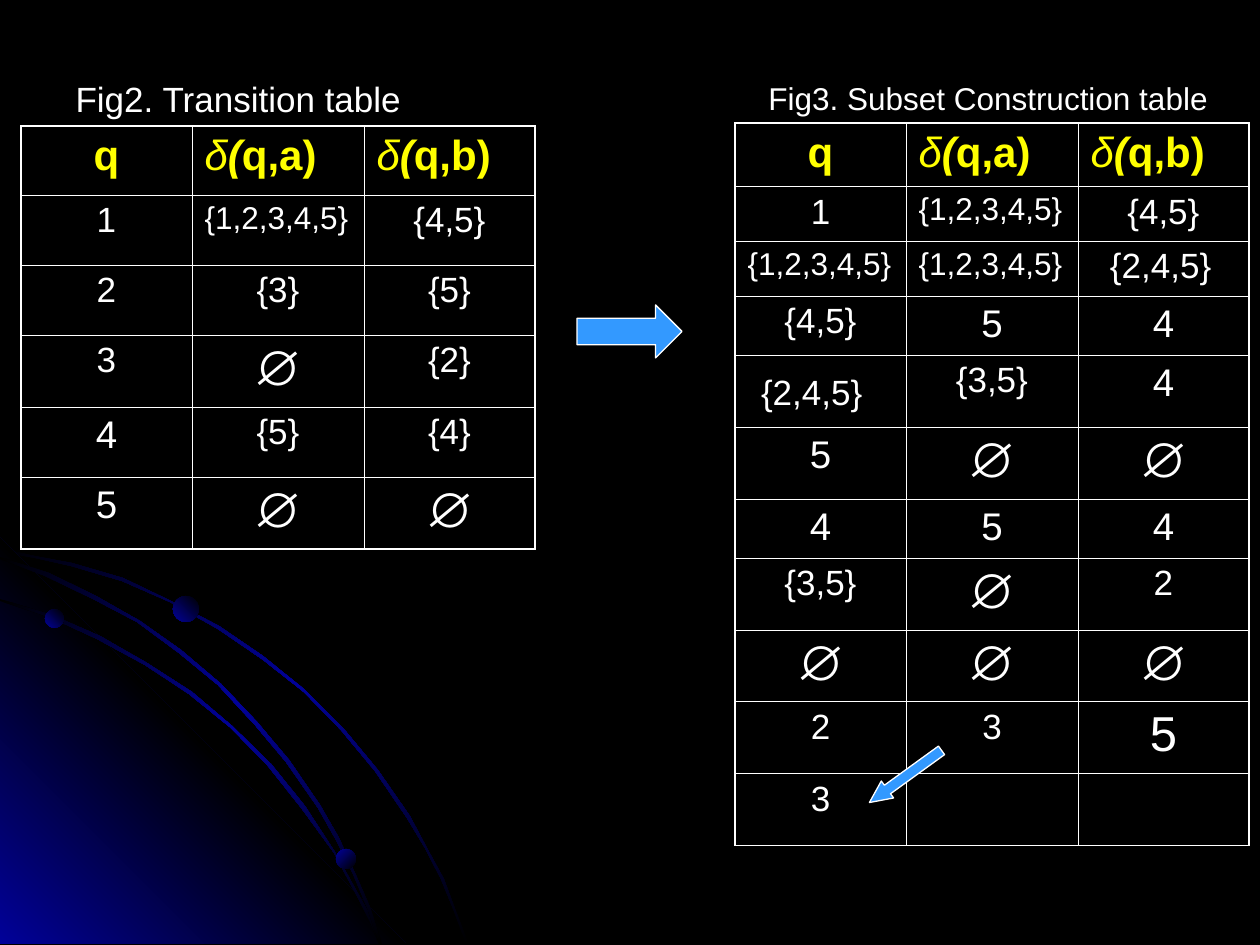
from pptx import Presentation
from pptx.dml.color import RGBColor
from pptx.enum.shapes import MSO_SHAPE as SHAPE
from pptx.enum.text import MSO_AUTO_SIZE as AUTO_SIZE, PP_ALIGN as ALIGN
from pptx.oxml import parse_xml
from pptx.oxml.ns import nsdecls, qn
from pptx.util import Inches, Pt

SCALE = Inches(1) / 126


class Theme:
    font = "Arial"
    black, white, yellow = "000000", "FFFFFF", "FFFF00"
    glow, arrow = "010199", "3399FF"
    heading, caption, small_caption = 24, 20, 18
    entry, digit, small_entry, large_entry = 20, 22, 18, 28
    thin, thick, outline = 0.45, 1.08, 0.75


def px(*values):
    return [round(value * SCALE) for value in values]


def fill_gradient(shape, colors, angle):
    """Spread the colours evenly over the shape, angle clockwise, with no outline."""
    shape.shadow.inherit = False
    shape.line.fill.background()
    stops = "".join(
        f'<a:gs pos="{100000 * i // (len(colors) - 1)}"><a:srgbClr val="{color}"/></a:gs>'
        for i, color in enumerate(colors))
    shape._element.spPr.insert(2, parse_xml(
        f'<a:gradFill {nsdecls("a")} rotWithShape="1"><a:gsLst>{stops}</a:gsLst>'
        f'<a:lin ang="{angle * 60000}" scaled="0"/></a:gradFill>'))


deck = Presentation()
deck.slide_width, deck.slide_height = px(1260, 945)
slide = deck.slides.add_slide(deck.slide_layouts[1])
shapes = slide.shapes
slide.background.fill.solid()
slide.background.fill.fore_color.rgb = RGBColor.from_string(Theme.black)
title = shapes.title._element
title.getparent().remove(title)

# Glowing corner, orbits and planets
ORBIT_COLORS = [Theme.black, Theme.glow, Theme.black]
CORNER_COLORS = [Theme.glow, Theme.black, Theme.glow]
outer_orbit = [
    (72, 563), (35, 556), (0, 548), (0, 552), (35, 558), (71, 566), (122, 581), (170, 602),
    (218, 629), (262, 659), (304, 692), (341, 730), (375, 771), (407, 818), (425, 848),
    (441, 879), (454, 911), (466, 944), (469, 944), (456, 911), (444, 879), (427, 848),
    (410, 816), (378, 770), (343, 728), (305, 690), (263, 656), (219, 626), (171, 601),
    (123, 578)]
corner = [(406, 944), (0, 944), (0, 538)]
inner_orbit = [
    (359, 900), (370, 922), (379, 944), (382, 944), (373, 920), (360, 897), (335, 852),
    (305, 806), (271, 764), (232, 726), (192, 692), (147, 663), (100, 636), (52, 615),
    (0, 599), (0, 601), (49, 617), (97, 639), (145, 665), (189, 694), (231, 728),
    (268, 766), (302, 809), (334, 853)]
middle_orbit = [
    (0, 557), (0, 559), (45, 576), (93, 599), (137, 622), (179, 653), (218, 685), (255, 725),
    (286, 762), (318, 808), (336, 840), (353, 874), (368, 910), (379, 944), (382, 944),
    (370, 907), (355, 873), (339, 838), (320, 805), (289, 760), (257, 722), (221, 684),
    (181, 650), (140, 621), (96, 596), (49, 573)]
for points, colors, angle in [
        (outer_orbit, ORBIT_COLORS, 225), (corner, CORNER_COLORS, 135),
        (inner_orbit, ORBIT_COLORS, 225), (middle_orbit, ORBIT_COLORS, 225)]:
    builder = shapes.build_freeform(*points[0], scale=SCALE)
    builder.add_line_segments(points[1:], close=True)
    fill_gradient(builder.convert_to_shape(), colors, angle)

for left, top, size, angle in [(45, 609, 19, 135), (336, 849, 20, 225), (173, 596, 26, 135)]:
    planet = shapes.add_shape(SHAPE.OVAL, *px(left, top, size, size))
    fill_gradient(planet, [Theme.black, Theme.glow], angle)

# Captions
body = slide.placeholders[1]
body.left, body.top, body.width, body.height = px(63, 71, 1134, 624)
body.text_frame.auto_size = AUTO_SIZE.NONE
caption = shapes.add_textbox(*px(756, 73, 465, 50))
caption.text_frame.word_wrap = False
for box, text, size in [
        (body, "Fig2. Transition table", Theme.caption),
        (caption, "Fig3. Subset Construction table", Theme.small_caption)]:
    para = box.text_frame.paragraphs[0]
    para.text = text
    para.space_before = Pt(0)
    properties = para._p.get_or_add_pPr()
    properties.set("marL", "0")
    properties.set("indent", "0")
    properties.append(parse_xml(f'<a:buNone {nsdecls("a")}/>'))
    font = para.runs[0].font
    font.name, font.size = Theme.font, Pt(size)
    font.color.rgb = RGBColor.from_string(Theme.white)

# Tables
LONG_SET = "{1,2,3,4,5}"
HEADER = ["q", "δ(q,a)", "δ(q,b)"]
NO_STYLE = "{2D5ABB26-0587-4C30-8999-92F81FD0307C}"
transition = [
    HEADER, ["1", LONG_SET, "{4,5}"], ["2", "{3}", "{5}"], ["3", "∅", "{2}"],
    ["4", "{5}", "{4}"], ["5", "∅", "∅"]]
subsets = [
    HEADER, ["1", LONG_SET, "{4,5}"], [LONG_SET, LONG_SET, "{2,4,5}"], ["{4,5}", "5", "4"],
    ["{2,4,5}", "{3,5}", "4"], ["5", "∅", "∅"], ["4", "5", "4"], ["{3,5}", "∅", "2"],
    ["∅", "∅", "∅"], ["2", "3", "5"], ["3", "", ""]]
text_sizes = {LONG_SET: Theme.small_entry, "∅": Theme.large_entry}
transition_sizes = dict.fromkeys([(4, 0), (5, 0)], Theme.digit)
subset_sizes = dict.fromkeys(
    [(3, 1), (3, 2), (4, 2), (5, 0), (6, 0), (6, 1), (6, 2)], Theme.digit)
subset_sizes[9, 2] = Theme.large_entry
subset_margins = {(2, 2): (32, 6), (4, 0): (26, 19)}

for left, top, heights, rows, cell_sizes, margins in [
        (21, 126, [69, 70, 70, 72, 70, 72], transition, transition_sizes, {}),
        (735, 123, [63, 55, 55, 59, 72, 72, 59, 72, 71, 72, 72], subsets, subset_sizes,
         subset_margins)]:
    last_row, last_col = len(rows) - 1, len(HEADER) - 1
    frame = shapes.add_table(len(rows), len(HEADER), *px(left, top, 514, sum(heights)))
    table = frame.table
    table.first_row = table.horz_banding = False
    table._tbl.tblPr.find(qn("a:tableStyleId")).text = NO_STYLE
    for column, width in zip(table.columns, px(171, 172, 171)):
        column.width = width
    for row, height in zip(table.rows, px(*heights)):
        row.height = height
    for r, texts in enumerate(rows):
        for c, text in enumerate(texts):
            cell = table.cell(r, c)
            cell.fill.background()
            edges = {"L": c == 0, "R": c == last_col, "T": r == 0, "B": r == last_row}
            for i, (side, outer) in enumerate(edges.items()):
                width = Pt(Theme.thick if outer else Theme.thin)
                cell._tc.get_or_add_tcPr().insert(i, parse_xml(
                    f'<a:ln{side} {nsdecls("a")} w="{width}"><a:solidFill>'
                    f'<a:srgbClr val="{Theme.white}"/></a:solidFill></a:ln{side}>'))
            if not text:
                continue
            heading = r == 0
            if (r, c) in margins:
                cell.margin_left, cell.margin_top = px(*margins[r, c])
            para = cell.text_frame.paragraphs[0]
            flush = text == LONG_SET or (heading and c > 0) or (r, c) in margins
            para.alignment = ALIGN.LEFT if flush else ALIGN.CENTER
            pieces = ["δ", "(", text[2:]] if text.startswith("δ") else [text]
            size = cell_sizes.get((r, c), text_sizes.get(text, Theme.entry))
            for piece in pieces:
                span = para.add_run()
                span.text = piece
                font = span.font
                font.name = Theme.font
                font.size = Pt(Theme.heading if heading else size)
                font.bold = heading and piece != "δ"
                font.italic = piece in ("δ", "(")
                font.color.rgb = RGBColor.from_string(
                    Theme.yellow if heading else Theme.white)

# Arrows
for kind, bounds, rotation, head in [
        (SHAPE.RIGHT_ARROW, (577, 305, 105, 53), 0, 0.5),
        (SHAPE.DOWN_ARROW, (895, 732, 21, 89), 54.1, 1.06)]:
    arrow = shapes.add_shape(kind, *px(*bounds))
    arrow.rotation = rotation
    arrow.adjustments[0], arrow.adjustments[1] = 0.5, head
    arrow.shadow.inherit = False
    arrow.fill.solid()
    arrow.fill.fore_color.rgb = RGBColor.from_string(Theme.arrow)
    arrow.line.color.rgb = RGBColor.from_string(Theme.white)
    arrow.line.width = Pt(Theme.outline)

deck.save("out.pptx")
